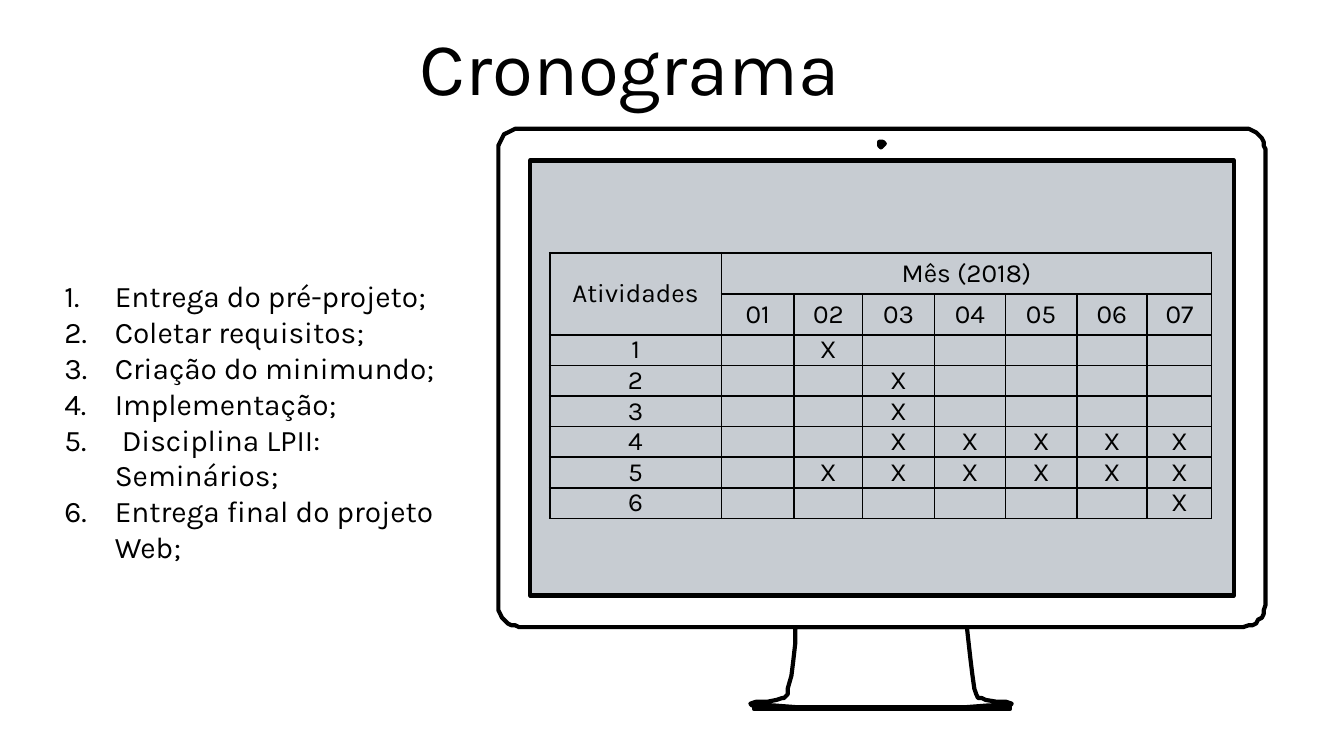
import dataclasses
import math

import pptx
import pptx.dml.color
import pptx.enum.shapes
import pptx.enum.text
import pptx.oxml.ns
import pptx.util
from lxml import etree

Pt = pptx.util.Pt
qn = pptx.oxml.ns.qn
Point = tuple[float, float]

FONT = "Karla"
HUES = {"ink": "000000", "paper": "FFFFFF", "glass": "001936"}
MID = 472.3  # vertical axis of the monitor


@dataclasses.dataclass
class Box:
    left: float
    top: float
    width: float
    height: float

    def place(self) -> list[int]:
        return [Pt(n) for n in dataclasses.astuple(self)]


@dataclasses.dataclass
class Task:
    name: str
    months: tuple[int, ...]


TASKS = [
    Task("Entrega do pré-projeto;", (2,)),
    Task("Coletar requisitos;", (3,)),
    Task("Criação do minimundo;", (3,)),
    Task("Implementação;", (3, 4, 5, 6, 7)),
    Task(" Disciplina LPII: Seminários;", (2, 3, 4, 5, 6, 7)),
    Task("Entrega final do projeto Web;", (7,)),
]
MONTHS = range(1, 8)
WIDTHS = [92, 39, 36.7, 38.5, 38.1, 38.1, 37.8, 34.5]
HEAD, ROW = 22, 16.4

# Right half of each outline: distance from the axis, height on the slide.
STAND = [(46, 335.5), (46.5, 345), (47.5, 354), (48.5, 362), (50, 369),
         (50.5, 372), (52, 373.7), (53.5, 374.4), (56, 375), (61.5, 376),
         (67, 376.5), (69.8, 377.2), (69, 378), (65.5, 378.3), (57, 378.5),
         (44, 378.7)]
BASE = [(26, 379.3), (55, 378.9), (68.4, 378.7), (68.4, 379.5), (62, 380),
        (27, 380.2)]


def color(name: str) -> pptx.dml.color.RGBColor:
    return pptx.dml.color.RGBColor.from_string(HUES[name])


def mirror(half: list[Point]) -> list[Point]:
    """Close a right half with its reflection in the monitor's axis."""
    return ([(MID + x, y) for x, y in half]
            + [(MID - x, y) for x, y in reversed(half)])


def arc(x: float, y: float, size: float, start: int, sweep: int) -> list[Point]:
    turns = [math.radians(start + sweep * n / 8) for n in range(9)]
    return [(x + size * math.cos(t), y + size * math.sin(t)) for t in turns]


def write(para, text: str, size: float) -> None:
    run = para.add_run()
    run.text = text
    run.font.name = FONT
    run.font.size = Pt(size)
    run.font.color.rgb = color("ink")


def draw_glass(slide, box: Box) -> None:
    kind = pptx.enum.shapes.MSO_SHAPE.RECTANGLE
    glass = slide.shapes.add_shape(kind, *box.place())
    glass.shadow.inherit = False
    glass.line.fill.background()
    glass.fill.solid()
    glass.fill.fore_color.rgb = color("glass")
    tint = glass.fill._xPr.find(qn("a:solidFill"))[0]
    etree.SubElement(tint, qn("a:alpha"), val="22000")


def draw_frame(slide) -> None:
    """Draw the monitor as one outline whose screen is a hole."""
    case = mirror(arc(194.2, 80.1, 11, -90, 90) + arc(194.2, 324.5, 11, 0, 90))
    screen = mirror([(188.3, 85.7), (188.3, 319)])
    lens = arc(MID, 77.2, 1.4, 0, 360)
    rings = [lens, screen, case, mirror(STAND), mirror(BASE)]
    pen = slide.shapes.build_freeform(*rings[0][0], scale=Pt(1))
    for ring in rings:
        if ring is not lens:
            pen.move_to(*ring[0])
        pen.add_line_segments(ring[1:], close=True)
    frame = pen.convert_to_shape()
    frame.shadow.inherit = False
    frame.fill.solid()
    frame.fill.fore_color.rgb = color("paper")
    frame.line.color.rgb = color("ink")
    frame.line.width = Pt(2.25)
    etree.SubElement(frame.line._get_or_add_ln(), qn("a:round"))


def fill_cell(cell, text: str, middle: bool) -> None:
    cell.margin_left = cell.margin_right = Pt(3.6)
    cell.margin_top = cell.margin_bottom = Pt(0)
    anchor = pptx.enum.text.MSO_ANCHOR
    cell.vertical_anchor = anchor.MIDDLE if middle else anchor.TOP
    props = cell._tc.get_or_add_tcPr()
    for side in ("lnL", "lnR", "lnT", "lnB"):
        edge = etree.SubElement(props, qn(f"a:{side}"), w=str(Pt(1)))
        paint = etree.SubElement(edge, qn("a:solidFill"))
        etree.SubElement(paint, qn("a:srgbClr"), val=HUES["ink"])
    cell.fill.background()
    para = cell.text_frame.paragraphs[0]
    para.alignment = pptx.enum.text.PP_ALIGN.CENTER
    if text:
        write(para, text, 14)
    else:  # keeps empty cells from stretching the row
        end = etree.SubElement(para._p, qn("a:endParaRPr"), sz="1400")
        etree.SubElement(end, qn("a:latin"), typeface=FONT)


def draw_plan(slide, left: float, top: float) -> None:
    grid = [["Atividades", "Mês (2018)"] + [""] * 6,
            [""] + [f"{m:02}" for m in MONTHS]]
    for rank, task in enumerate(TASKS, 1):
        grid.append([str(rank)] + ["X" if m in task.months else "" for m in MONTHS])
    tall = [HEAD] * 2 + [ROW] * len(TASKS)
    box = Box(left, top, sum(WIDTHS), sum(tall))
    table = slide.shapes.add_table(len(grid), len(WIDTHS), *box.place()).table
    table.first_row = table.horz_banding = False
    for col, width in zip(table.columns, WIDTHS):
        col.width = Pt(width)
    for row, (line, height) in enumerate(zip(grid, tall)):
        table.rows[row].height = Pt(height)
        for col, text in enumerate(line):
            fill_cell(table.cell(row, col), text, row < 2)
    table.cell(0, 0).merge(table.cell(1, 0))
    table.cell(0, 1).merge(table.cell(0, 7))


def add_text(slide, box: Box):
    frame = slide.shapes.add_textbox(*box.place()).text_frame
    frame.word_wrap = True
    frame.auto_size = pptx.enum.text.MSO_AUTO_SIZE.SHAPE_TO_FIT_TEXT
    return frame


def draw_list(slide, box: Box) -> None:
    frame = add_text(slide, box)
    for rank, task in enumerate(TASKS):
        para = frame.add_paragraph() if rank else frame.paragraphs[0]
        props = para._p.get_or_add_pPr()
        props.set("marL", str(Pt(27)))
        props.set("indent", str(-Pt(27)))
        tint = etree.SubElement(props, qn("a:buClr"))
        etree.SubElement(tint, qn("a:srgbClr"), val=HUES["ink"])
        etree.SubElement(props, qn("a:buFont"), typeface=FONT)
        etree.SubElement(props, qn("a:buAutoNum"), type="arabicPeriod")
        write(para, task.name, 16)


def draw_title(slide, box: Box) -> None:
    para = add_text(slide, box).paragraphs[0]
    para.alignment = pptx.enum.text.PP_ALIGN.CENTER
    write(para, "Cronograma", 40)


def main() -> None:
    deck = pptx.Presentation()
    deck.slide_width, deck.slide_height = Pt(720), Pt(405)
    slide = deck.slides.add_slide(deck.slide_layouts[6])
    draw_glass(slide, Box(280.8, 87.1, 383, 239.8))
    draw_frame(slide)
    draw_plan(slide, 294.5, 135.4)
    draw_list(slide, Box(27.4, 145.4, 220.3, 143.3))
    draw_title(slide, Box(88.6, 7.9, 497.5, 55.4))
    deck.save("out.pptx")


if __name__ == "__main__":
    main()
